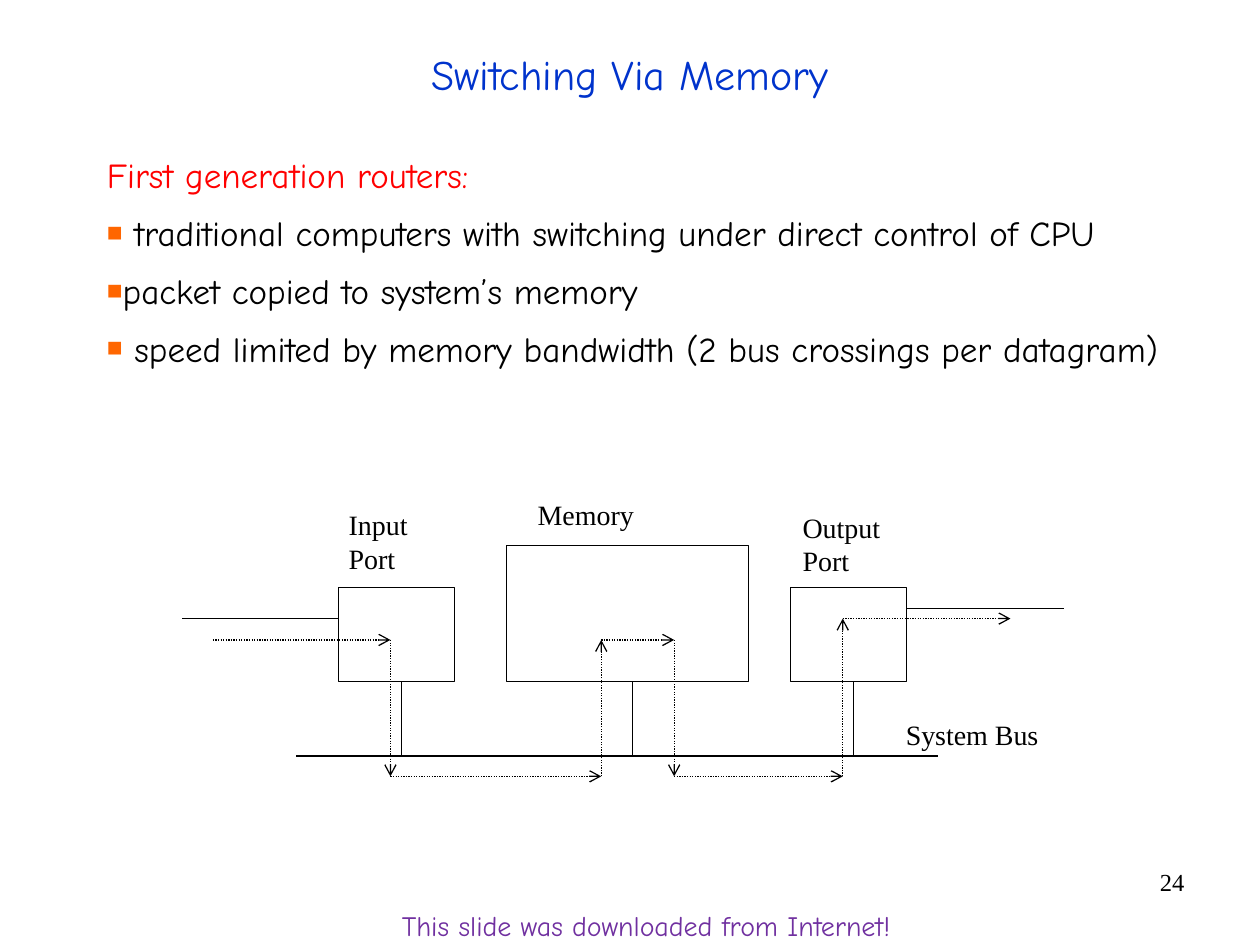
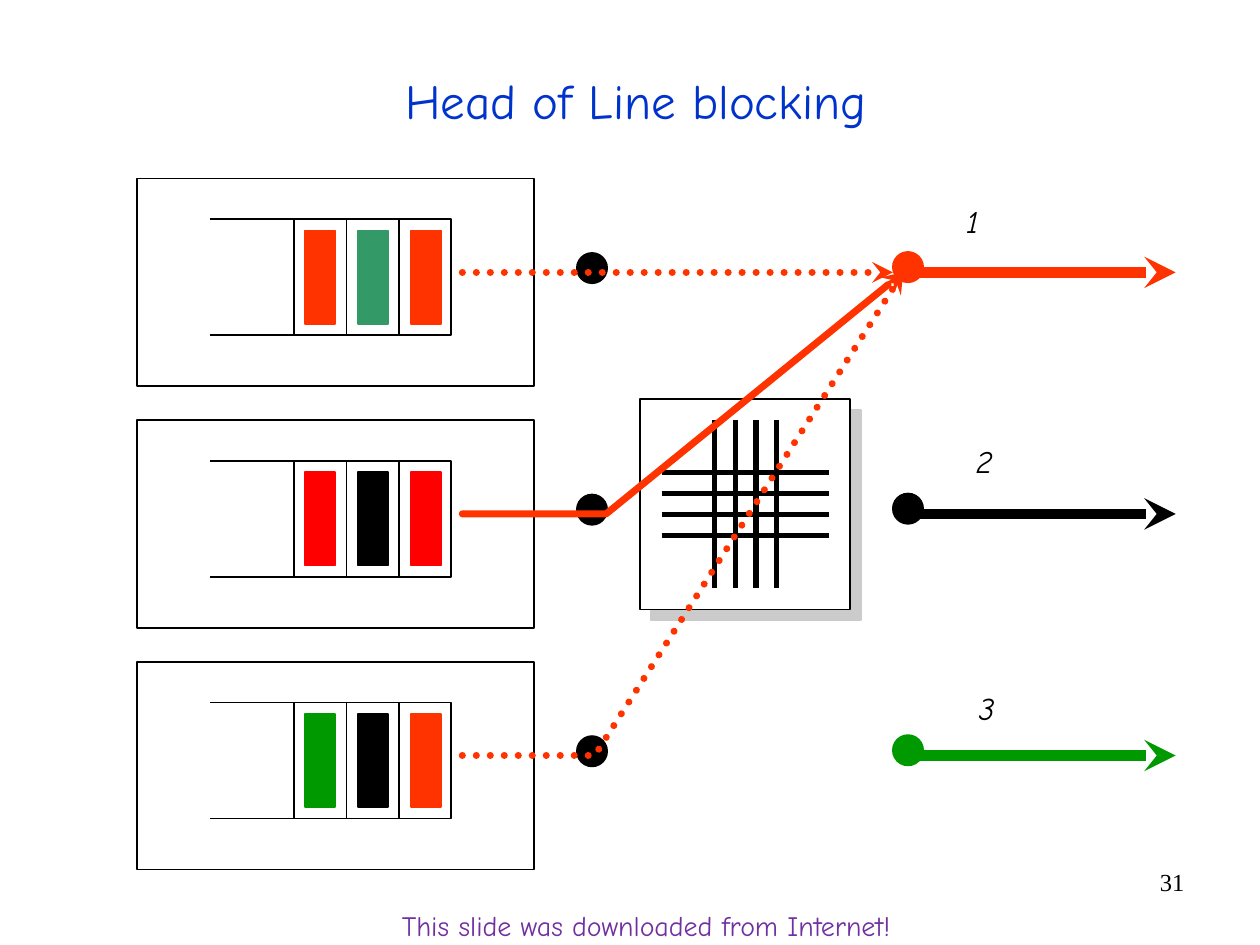
"""Build two slides on router switching: via memory, and head of line blocking."""
from lxml import etree
from pptx import Presentation
from pptx.dml.color import RGBColor
from pptx.enum.dml import MSO_LINE
from pptx.enum.shapes import MSO_CONNECTOR, MSO_SHAPE
from pptx.enum.text import MSO_ANCHOR, MSO_AUTO_SIZE, PP_ALIGN
from pptx.oxml.ns import qn
from pptx.util import Cm, Pt

RECT, OVAL = MSO_SHAPE.RECTANGLE, MSO_SHAPE.OVAL
STRAIGHT = MSO_CONNECTOR.STRAIGHT
DOTTED = MSO_LINE.ROUND_DOT
LEFT, CENTER, RIGHT = PP_ALIGN.LEFT, PP_ALIGN.CENTER, PP_ALIGN.RIGHT
MIDDLE, TOP = MSO_ANCHOR.MIDDLE, MSO_ANCHOR.TOP
NO_FIT, GROW = MSO_AUTO_SIZE.NONE, MSO_AUTO_SIZE.SHAPE_TO_FIT_TEXT

BLACK = RGBColor(0x00, 0x00, 0x00)
WHITE = RGBColor(0xFF, 0xFF, 0xFF)
BLUE = RGBColor(0x00, 0x33, 0xCC)
PURPLE = RGBColor(0x70, 0x30, 0xA0)
RED = RGBColor(0xFF, 0x00, 0x00)
ORANGE = RGBColor(0xFF, 0x33, 0x00)
BULLET = RGBColor(0xFF, 0x66, 0x00)
TEAL = RGBColor(0x33, 0x99, 0x66)
GREEN = RGBColor(0x00, 0x99, 0x00)
SHADOW = RGBColor(0xCB, 0xCB, 0xCB)
COMIC, TIMES = "Comic Neue", "Times New Roman"


def add_box(s, kind, x, y, w, h, fill, line, width=1):
    shape = s.shapes.add_shape(kind, Cm(x), Cm(y), Cm(w), Cm(h))
    shape.shadow.inherit = False
    if fill is None:
        shape.fill.background()
    else:
        shape.fill.solid()
        shape.fill.fore_color.rgb = fill
    shape.line.color.rgb = line
    shape.line.width = Pt(width)
    return shape


def add_line(s, points, color=BLACK, width=1, dash=None, tail=None, cap="flat"):
    pts = [(Cm(x), Cm(y)) for x, y in points]
    if len(pts) == 2:
        shape = s.shapes.add_connector(STRAIGHT, *pts[0], *pts[1])
    else:
        builder = s.shapes.build_freeform(*pts[0])
        builder.add_line_segments(pts[1:], close=False)
        shape = builder.convert_to_shape()
        shape.fill.background()
    shape.line.color.rgb = color
    shape.line.width = Pt(width)
    if dash:
        shape.line.dash_style = dash
    sp_pr = shape.element.spPr
    ln = sp_pr.find(qn("a:ln"))
    ln.set("cap", cap)
    if tail:
        etree.SubElement(ln, qn("a:tailEnd"), type=tail)
    etree.SubElement(sp_pr, qn("a:effectLst"))


prs = Presentation()
prs.slide_width, prs.slide_height = Cm(25.4), Cm(19.05)
memory = prs.slides.add_slide(prs.slide_layouts[1])
blocking = prs.slides.add_slide(prs.slide_layouts[5])

titles = [
    (memory, "Switching Via Memory", 1.9, 0.64, 21.59, 1.7, 24),
    (blocking, "Head of Line blocking", 1.07, 1.07, 23.5, 1.9, 28),
]
for s, text, x, y, w, h, size in titles:
    title = s.shapes.title
    title.left, title.top, title.width, title.height = Cm(x), Cm(y), Cm(w), Cm(h)
    tf = title.text_frame
    tf.auto_size = NO_FIT
    tf.vertical_anchor = MIDDLE
    p = tf.paragraphs[0]
    p.alignment = CENTER
    r = p.add_run()
    r.text = text
    r.font.size, r.font.name = Pt(size), COMIC
    r.font.color.rgb = BLUE

body = memory.placeholders[1]
body.left, body.top, body.width, body.height = Cm(1.9), Cm(2.97), Cm(21.79), Cm(2.97)
tf = body.text_frame
tf.auto_size = NO_FIT
tf.vertical_anchor = TOP
points = [
    "First generation routers:",
    " traditional computers with switching under direct control of CPU",
    "packet copied to system’s memory",
    " speed limited by memory bandwidth (2 bus crossings per datagram)",
]
for i, text in enumerate(points):
    p = tf.add_paragraph() if i else tf.paragraphs[0]
    p.space_before = p.space_after = Pt(4.5)
    r = p.add_run()
    r.text = text
    r.font.size, r.font.name = Pt(20), COMIC
    r.font.color.rgb = BLACK if i else RED
    pPr = p._p.get_or_add_pPr()
    pPr.set("marL", str(Cm(0.3)))
    pPr.set("indent", str(-Cm(0.3)))
    if i:
        color = etree.SubElement(pPr, qn("a:buClr"))
        etree.SubElement(color, qn("a:srgbClr"), val=str(BULLET))
        etree.SubElement(pPr, qn("a:buSzPct"), val="75000")
        etree.SubElement(pPr, qn("a:buChar"), char="■")
    else:
        etree.SubElement(pPr, qn("a:buNone"))

for x, y, w, h in [(6.83, 11.84, 2.34, 1.9), (15.93, 11.84, 2.34, 1.9), (10.21, 11, 4.88, 2.74)]:
    add_box(memory, RECT, x, y, w, h, None, BLACK, 0.75)
add_line(memory, [(5.97, 15.24), (18.9, 15.24)], width=0.75)
for x in (8.1, 12.75, 17.2):
    add_line(memory, [(x, 13.74), (x, 15.24)], width=0.75)
add_line(memory, [(6.83, 12.47), (3.66, 12.47)], width=0.75)
add_line(memory, [(21.44, 12.27), (18.27, 12.27)], width=0.75)

datagram_route = [
    (4.29, 12.9), (7.87, 12.9), (7.87, 15.65), (12.12, 15.65), (12.12, 12.9),
    (13.59, 12.9), (13.59, 15.65), (16.99, 15.65), (16.99, 12.47), (20.37, 12.47),
]
for hop in zip(datagram_route, datagram_route[1:]):
    add_line(memory, hop, width=0.75, dash=DOTTED, tail="arrow")

fabric = add_box(blocking, RECT, 12.9, 8.05, 4.24, 4.24, WHITE, BLACK)
effects = fabric.element.spPr.find(qn("a:effectLst"))
shadow = etree.SubElement(effects, qn("a:outerShdw"), dist=str(Pt(8.5)), dir="2700000",
                          algn="ctr", rotWithShape="0")
etree.SubElement(shadow, qn("a:srgbClr"), val=str(SHADOW))
for i in range(4):
    x, y = 14.4 + 0.42 * i, 9.53 + 0.42 * i
    add_line(blocking, [(x, 8.46), (x, 11.86)], width=3)
    add_line(blocking, [(13.34, y), (16.72, y)], width=3)

ROW_PITCH, SLOT_PITCH = 4.87, 1.065
queues = [
    ((ORANGE, TEAL, ORANGE), ORANGE),
    ((RED, BLACK, RED), BLACK),
    ((GREEN, BLACK, ORANGE), GREEN),
]
for row, (packets, output) in enumerate(queues):
    dy = row * ROW_PITCH
    top, bottom = 4.42 + dy, 6.76 + dy
    add_box(blocking, OVAL, 11.63, 5.1 + dy, 0.61, 0.61, BLACK, BLACK)
    add_box(blocking, RECT, 2.77, 3.6 + dy, 8, 4.19, WHITE, BLACK)
    add_line(blocking, [(4.24, top), (9.1, top), (9.1, bottom), (4.24, bottom)])
    for slot, color in enumerate(packets):
        dx = slot * SLOT_PITCH
        add_line(blocking, [(5.92 + dx, top), (5.92 + dx, bottom)])
        add_box(blocking, RECT, 6.15 + dx, 4.65 + dy, 0.61, 1.88, color, color)
    add_line(blocking, [(18.42, 5.49 + dy), (23.7, 5.49 + dy)], output, 6, tail="stealth")
    add_box(blocking, OVAL, 18, 5.08 + dy, 0.61, 0.61, output, output)

packet_routes = [
    ([(9.32, 15.23), (11.99, 15.23), (18.21, 5.49)], DOTTED),
    ([(9.32, 10.36), (12.22, 10.36), (18.21, 5.49)], None),
    ([(9.32, 5.49), (18, 5.49)], DOTTED),
]
for route, dash in packet_routes:
    add_line(blocking, route, ORANGE, 4, dash, "stealth", "rnd")

labels = [
    (memory, "Input\nPort", 6.78, 10.11, 1.7, 1.63, 16, TIMES, BLACK),
    (memory, "Output\nPort", 15.93, 10.16, 2.08, 1.63, 16, TIMES, BLACK),
    (memory, "Memory", 10.59, 9.91, 2.46, 0.94, 16, TIMES, BLACK),
    (memory, "System Bus", 18.01, 14.35, 3.2, 0.94, 16, TIMES, BLACK),
    (blocking, "1", 19.23, 3.94, 0.79, 1.02, 18, COMIC, BLACK),
    (blocking, "2", 19.43, 8.79, 0.89, 1.02, 18, COMIC, BLACK),
    (blocking, "3", 19.48, 13.77, 0.89, 1.02, 18, COMIC, BLACK),
]
for s, number in [(memory, "24"), (blocking, "31")]:
    labels.append((s, number, 18.21, 17.35, 5.92, 1.32, 14, TIMES, BLACK))
    labels.append((s, "This slide was downloaded from Internet!",
                   7.85, 18.19, 11.53, 0.94, 16, COMIC, PURPLE))
for s, text, x, y, w, h, size, font, color in labels:
    tf = s.shapes.add_textbox(Cm(x), Cm(y), Cm(w), Cm(h)).text_frame
    page_number = size == 14
    tf.word_wrap = page_number
    tf.auto_size = NO_FIT if page_number else GROW
    for i, line in enumerate(text.split("\n")):
        p = tf.add_paragraph() if i else tf.paragraphs[0]
        p.alignment = RIGHT if page_number else LEFT
        r = p.add_run()
        r.text = line
        r.font.size, r.font.name = Pt(size), font
        r.font.italic = size == 18
        r.font.color.rgb = color

prs.save("out.pptx")
